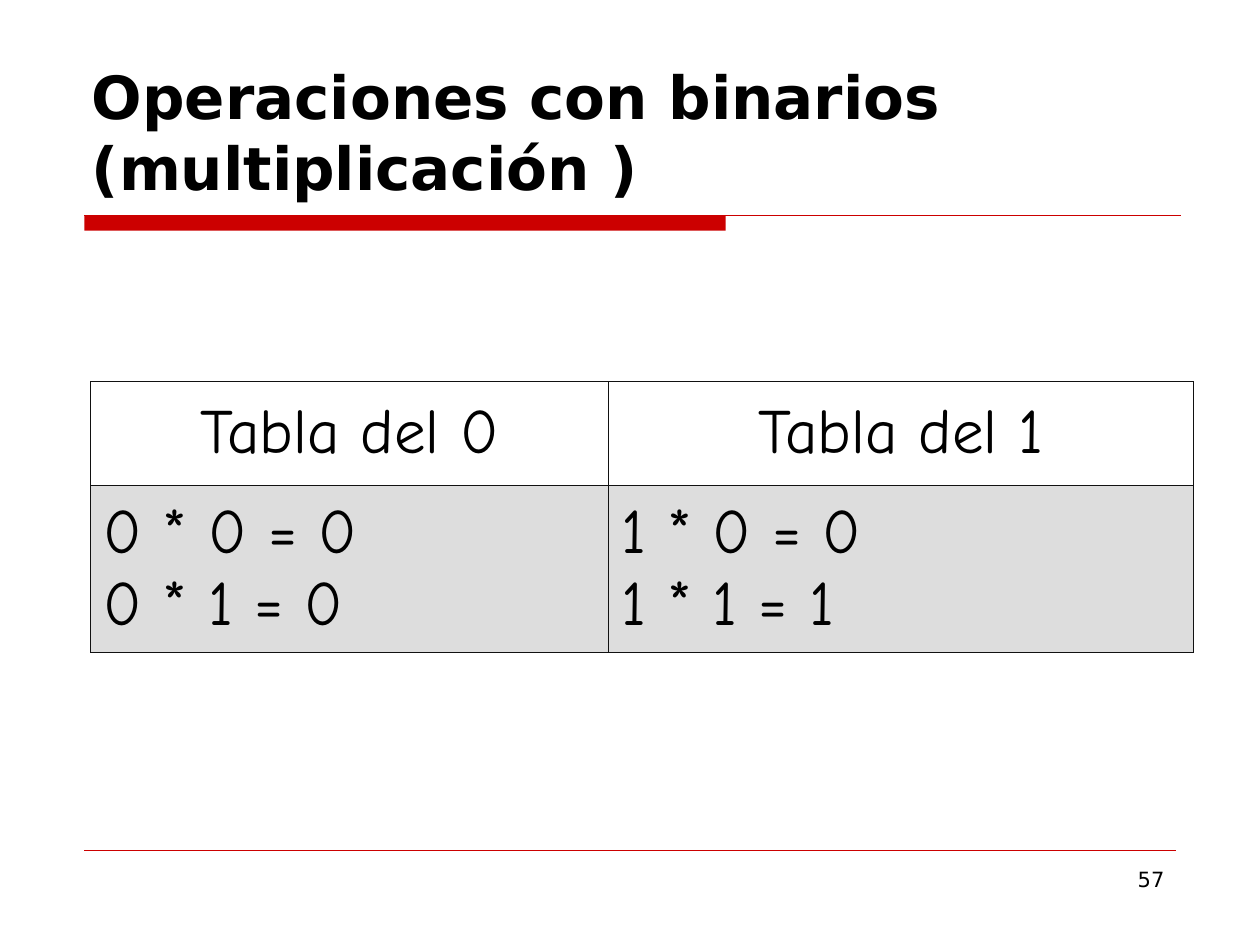
from dataclasses import dataclass

import pptx
import pptx.dml.color
import pptx.enum.shapes
import pptx.enum.text
import pptx.oxml
import pptx.oxml.ns
import pptx.util
from pptx.util import Inches

COLORS = {"accent": "CC0000", "text": "000000", "border": "111111",
          "header": "FFFFFF", "body": "DDDDDD"}
ALIGN = pptx.enum.text.PP_ALIGN
ANCHOR = pptx.enum.text.MSO_ANCHOR
TITLE_FONT = {"name": "DejaVu Sans", "size": pptx.util.Pt(34), "bold": True}
NUMBER_FONT = {"name": "DejaVu Sans", "size": pptx.util.Pt(12)}
TABLE_FONT = {"name": "Comic Neue", "size": pptx.util.Pt(36)}
BORDER_WIDTH = pptx.util.Pt(0.45)


@dataclass
class Rule:
    right: float
    top: float
    width: float


@dataclass
class TableRow:
    height: float
    fill: str
    alignment: ALIGN
    texts: tuple[str, ...]


RULE_LEFT = 0.67
RULES = (Rule(9.37, 1.71, 0.75), Rule(9.33, 6.75, 0.25))
COLUMN_WIDTHS = (4.11, 4.64)
ROWS = (
    TableRow(0.82, "header", ALIGN.CENTER, ("Tabla del 0", "Tabla del 1")),
    TableRow(1.33, "body", ALIGN.LEFT,
             ("0 * 0 = 0\n0 * 1 = 0", "1 * 0 = 0\n1 * 1 = 1")),
)


def color(name: str) -> pptx.dml.color.RGBColor:
    return pptx.dml.color.RGBColor.from_string(COLORS[name])


def write_text(frame, text: str, font: dict, alignment: ALIGN) -> None:
    frame.text = text
    for paragraph in frame.paragraphs:
        paragraph.alignment = alignment
        for run in paragraph.runs:
            for attribute, value in font.items():
                setattr(run.font, attribute, value)
            run.font.color.rgb = color("text")


def place(shape, left: float, top: float, width: float, height: float) -> None:
    box = {"left": left, "top": top, "width": width, "height": height}
    for attribute, value in box.items():
        setattr(shape, attribute, Inches(value))


def add_title(slide, text: str) -> None:
    title = slide.shapes.title
    place(title, 0.63, 0.33, 8.75, 1.33)
    frame = title.text_frame
    write_text(frame, text, TITLE_FONT, ALIGN.LEFT)
    frame.auto_size = pptx.enum.text.MSO_AUTO_SIZE.NONE
    frame.vertical_anchor = ANCHOR.BOTTOM


def add_title_bar(slide) -> None:
    bar = slide.shapes.add_shape(
        pptx.enum.shapes.MSO_SHAPE.RECTANGLE,
        Inches(RULE_LEFT), Inches(1.71), Inches(5.09), Inches(0.12))
    bar.shadow.inherit = False
    bar.fill.solid()
    bar.fill.fore_color.rgb = color("accent")
    bar.line.fill.background()


def add_rule(slide, rule: Rule) -> None:
    line = slide.shapes.add_connector(
        pptx.enum.shapes.MSO_CONNECTOR.STRAIGHT, Inches(RULE_LEFT),
        Inches(rule.top), Inches(rule.right), Inches(rule.top))
    line.line.color.rgb = color("accent")
    line.line.width = pptx.util.Pt(rule.width)
    properties = line._element.spPr
    properties.append(pptx.oxml.parse_xml(
        f"<a:effectLst {pptx.oxml.ns.nsdecls('a')}/>"))


def add_borders(cell) -> None:
    properties = cell._tc.get_or_add_tcPr()
    for index, side in enumerate(("lnL", "lnR", "lnT", "lnB")):
        properties.insert(index, pptx.oxml.parse_xml(
            f'<a:{side} {pptx.oxml.ns.nsdecls("a")} w="{int(BORDER_WIDTH)}">'
            f'<a:solidFill><a:srgbClr val="{COLORS["border"]}"/></a:solidFill>'
            f"</a:{side}>"))


def add_products_table(slide) -> None:
    table = slide.shapes.add_table(
        len(ROWS), len(COLUMN_WIDTHS), Inches(0.72), Inches(3.03),
        Inches(sum(COLUMN_WIDTHS)), Inches(sum(row.height for row in ROWS))).table
    for column, width in zip(table.columns, COLUMN_WIDTHS):
        column.width = Inches(width)
    for table_row, row in zip(table.rows, ROWS):
        table_row.height = Inches(row.height)
        for cell, text in zip(table_row.cells, row.texts):
            write_text(cell.text_frame, text, TABLE_FONT, row.alignment)
            cell.vertical_anchor = ANCHOR.MIDDLE
            cell.fill.solid()
            cell.fill.fore_color.rgb = color(row.fill)
            add_borders(cell)


def add_page_number(slide, number: str) -> None:
    box = slide.shapes.add_textbox(
        Inches(7.17), Inches(6.83), Inches(2.17), Inches(0.52))
    box.text_frame.word_wrap = True
    write_text(box.text_frame, number, NUMBER_FONT, ALIGN.RIGHT)


def main() -> None:
    presentation = pptx.Presentation()
    presentation.slide_width = Inches(10)
    presentation.slide_height = Inches(7.5)
    slide = presentation.slides.add_slide(
        presentation.slide_layouts.get_by_name("Title Only"))
    add_title_bar(slide)
    for rule in RULES:
        add_rule(slide, rule)
    add_page_number(slide, "57")
    add_title(slide, "Operaciones con binarios (multiplicación )")
    add_products_table(slide)
    presentation.save("out.pptx")


if __name__ == "__main__":
    main()
